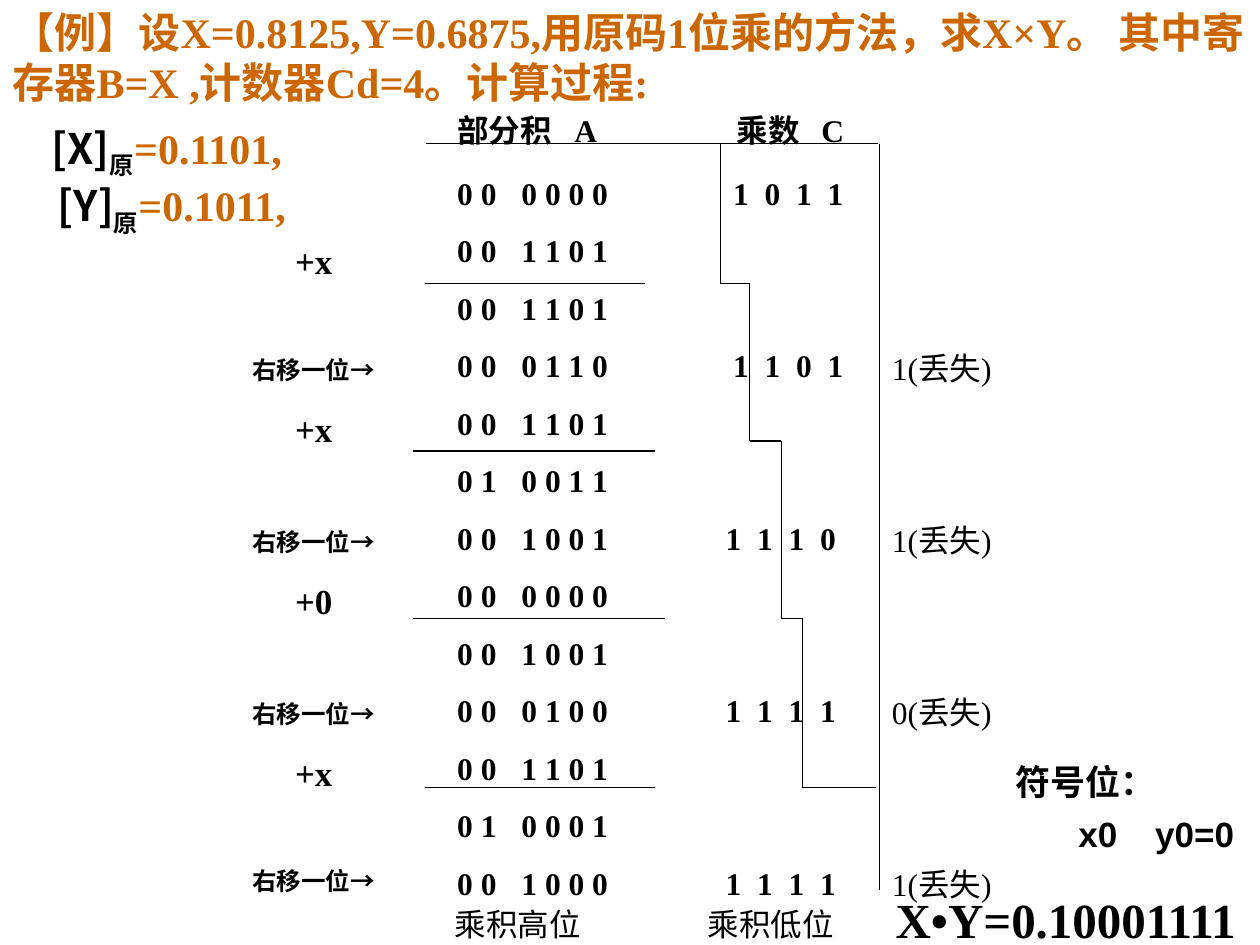
"""Build a slide that works through one-bit sign-magnitude multiplication."""
from itertools import pairwise

from lxml import etree
from pptx import Presentation
from pptx.dml.color import RGBColor
from pptx.enum import shapes, text
from pptx.oxml.ns import qn
from pptx.util import Inches, Pt

BLACK = RGBColor(0x00, 0x00, 0x00)
ORANGE = RGBColor(0xCC, 0x66, 0x00)
SERIF, SANS, CJK = "Times New Roman", "Arial", "Noto Sans CJK SC"

prs = Presentation()
prs.slide_width, prs.slide_height = Inches(10), Inches(7.5)
slide = prs.slides.add_slide(prs.slide_layouts[5])


def add_box(left, top, width, height):
    """Return the text frame of a new wrapping text box."""
    frame = slide.shapes.add_textbox(*map(Inches, (left, top, width, height))).text_frame
    frame.word_wrap = True
    return frame


def write(paragraph, content, size, bold=True, font=SERIF, color=BLACK, before=0, stops=()):
    """Fill a paragraph, with tab stops in inches."""
    paragraph.text = content
    paragraph.space_before = Pt(before)
    if stops:
        tabs = etree.SubElement(paragraph._p.get_or_add_pPr(), qn("a:tabLst"))
        for stop in stops:
            etree.SubElement(tabs, qn("a:tab"), pos=str(Inches(stop)), algn="l")
    for run in paragraph.runs:
        run.font.size, run.font.bold, run.font.name = Pt(size), bold, font
        run.font.color.rgb = color


title = slide.shapes.title
title.left, title.top, title.width, title.height = map(Inches, (0, 0, 10, 0.9))
title.text_frame.auto_size = text.MSO_AUTO_SIZE.NONE
title.text_frame.vertical_anchor = text.MSO_ANCHOR.TOP
task = title.text_frame.paragraphs[0]
task.alignment = text.PP_ALIGN.LEFT
write(task, "【例】设X=0.8125,Y=0.6875,用原码1位乘的方法，求X×Y。 其中寄存器B=X ,计数器Cd=4。计算过程:",
      24, color=ORANGE)

register_rows = [
    ("0 0", "0 0 0 0", "1011"), ("0 0", "1 1 0 1", ""), ("0 0", "1 1 0 1", ""),
    ("0 0", "0 1 1 0", "1101"), ("0 0", "1 1 0 1", ""), ("0 1", "0 0 1 1", ""),
    ("0 0", "1 0 0 1", "1110"), ("0 0", "0 0 0 0", ""), ("0 0", "1 0 0 1", ""),
    ("0 0", "0 1 0 0", "1111"), ("0 0", "1 1 0 1", ""), ("0 1", "0 0 0 1", ""),
    ("0 0", "1 0 0 0", "1111"),
]
registers = add_box(3.53, 1.33, 5.08, 5.88)
for index, (sign, digits, multiplier) in enumerate(register_rows):
    row = registers.add_paragraph() if index else registers.paragraphs[0]
    first_digit = 2.19 if index < 6 else 2.13
    stops = [0.51] + [first_digit + 0.25 * place for place in range(4)]
    write(row, "\t".join([sign, digits, *multiplier]), 18,
          before=11.25 if index else 0, stops=stops)

operations = add_box(1.7, 1.85, 1.58, 5.3)
for index, (addend, gap) in enumerate([("+x", 42), ("+x", 44), ("+0", 44), ("+x", 41)]):
    addition = operations.add_paragraph() if index else operations.paragraphs[0]
    write(addition, addend, 20, before=13.5 if index else 0)
    shift = operations.add_paragraph()
    write(shift, "右移一位→", 14, before=gap)
    addition.alignment = shift.alignment = text.PP_ALIGN.CENTER

lost_bits = add_box(6.98, 2.72, 2, 4.51)
for index, bit in enumerate("1101"):
    lost_bit = lost_bits.add_paragraph() if index else lost_bits.paragraphs[0]
    write(lost_bit, f"{bit}(丢失)", 18, bold=False, before=76.8 if index else 0)

write(add_box(3.53, 0.83, 3.33, 0.4).paragraphs[0], "部分积\tA\t乘数\tC", 18,
      stops=(0.93, 2.22, 2.89))
write(add_box(3.51, 7.13, 3.92, 0.4).paragraphs[0], "乘积高位\t乘积低位", 18,
      bold=False, stops=(2.01,))
write(add_box(7.01, 7.01, 3.57, 0.57).paragraphs[0], "X•Y=0.10001111", 28)

sign_bit = add_box(7.96, 5.99, 2.68, 1.1)
write(sign_bit.paragraphs[0], "符号位：", 20, font=SANS)
write(sign_bit.add_paragraph(), "\tx0\ty0=0", 20, font=SANS, before=5.5, stops=(0.5, 1.11))

operands = add_box(0.23, 0.92, 2.27, 1.01)
operands.word_wrap = False
for index, (name, value) in enumerate([("[X]", "=0.1101, "), ("[Y]", "=0.1011,")]):
    operand = operands.add_paragraph() if index else operands.paragraphs[0]
    operand.alignment = text.PP_ALIGN.CENTER
    for part, font, color in ((name, CJK, BLACK), ("原", CJK, BLACK), (value, SERIF, ORANGE)):
        run = operand.add_run()
        run.text = part
        run.font.size, run.font.bold, run.font.name = Pt(24), True, font
        run.font.color.rgb = color
    operand.runs[1]._r.get_or_add_rPr().set("baseline", "-25000")

sum_rules = [(3.37, 5.12, 2.25), (3.28, 5.2, 3.58), (3.28, 5.28, 4.91), (3.37, 5.2, 6.25)]
staircase = [(5.72, 1.14), (5.72, 2.25), (5.95, 2.25), (5.95, 3.5), (6.2, 3.5),
             (6.2, 4.91), (6.37, 4.91), (6.37, 6.25), (6.95, 6.25)]
segments = [((left, y), (right, y)) for left, right, y in sum_rules]
segments += [((3.38, 1.14), (6.97, 1.14)), ((6.98, 1.14), (6.98, 7.06))]
segments += pairwise(staircase)
for start, end in segments:
    rule = slide.shapes.add_connector(shapes.MSO_CONNECTOR.STRAIGHT, *map(Inches, start + end))
    rule.line.color.rgb, rule.line.width = BLACK, Pt(0.75)
    etree.SubElement(rule._element.spPr, qn("a:effectLst"))

prs.save("out.pptx")
